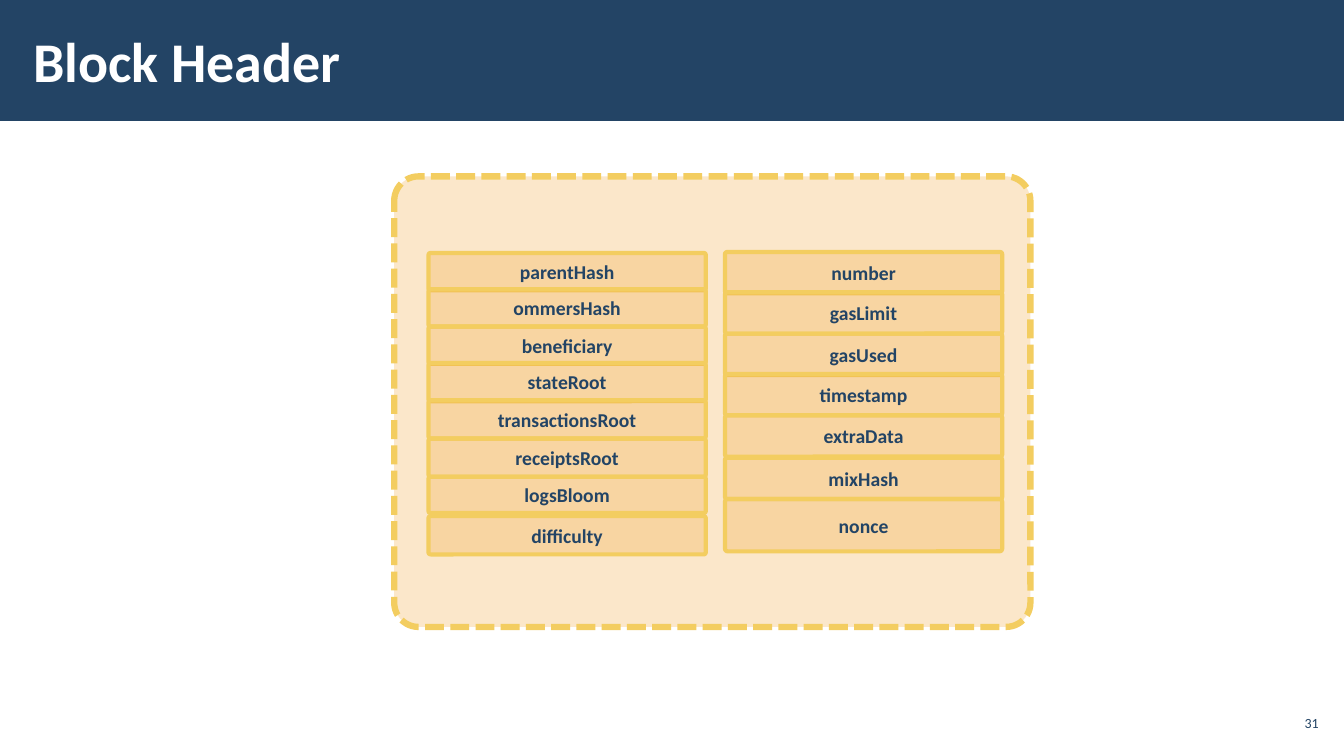
from lxml import etree
from pptx import Presentation
from pptx.dml.color import RGBColor
from pptx.enum.dml import MSO_LINE
from pptx.enum.shapes import MSO_SHAPE
from pptx.enum.text import MSO_ANCHOR, PP_ALIGN
from pptx.oxml.ns import qn
from pptx.util import Inches, Pt

RECTANGLE = MSO_SHAPE.RECTANGLE
ROUNDED = MSO_SHAPE.ROUNDED_RECTANGLE
MIDDLE = MSO_ANCHOR.MIDDLE
LEFT, CENTER, RIGHT = PP_ALIGN.LEFT, PP_ALIGN.CENTER, PP_ALIGN.RIGHT
SHORT_DASH = MSO_LINE.SQUARE_DOT

COLORS = {"navy": "234465", "white": "FFFFFF", "orange": "F0A22E", "gold": "F3CD60"}
FONT = "Calibri"
FIELD_WIDTH = 2.75

HASH_FIELDS = [
    ("parentHash", 2.51, 0.37),
    ("ommersHash", 2.87, 0.37),
    ("beneficiary", 3.24, 0.37),
    ("stateRoot", 3.6, 0.38),
    ("transactionsRoot", 3.97, 0.38),
    ("receiptsRoot", 4.35, 0.38),
    ("logsBloom", 4.73, 0.36),
    ("difficulty", 5.12, 0.38),
]
BLOCK_FIELDS = [
    ("number", 2.5, 0.41),
    ("gasLimit", 2.9, 0.41),
    ("gasUsed", 3.31, 0.41),
    ("timestamp", 3.71, 0.41),
    ("extraData", 4.12, 0.41),
    ("mixHash", 4.54, 0.41),
    ("nonce", 4.95, 0.52),
]


class SlideBuilder:
    def __init__(self, slide):
        self.shapes = slide.shapes

    def color(self, name):
        return RGBColor.from_string(COLORS[name])

    def set_text(self, shape, text, size, color, align, bold):
        frame = shape.text_frame
        frame.word_wrap = True
        frame.vertical_anchor = MIDDLE
        paragraph = frame.paragraphs[0]
        paragraph.text = text
        paragraph.alignment = align
        font = paragraph.font
        font.name, font.size, font.bold = FONT, Pt(size), bold
        font.color.rgb = self.color(color)
        return frame

    def label(self, text, box, size, color, align=LEFT, bold=False, side_inset=0.04):
        shape = self.shapes.add_textbox(*map(Inches, box))
        frame = self.set_text(shape, text, size, color, align, bold)
        frame.margin_left = frame.margin_right = Inches(side_inset)
        frame.margin_top = frame.margin_bottom = Inches(0.04)

    def banner(self, box):
        shape = self.shapes.add_shape(RECTANGLE, *map(Inches, box))
        shape.shadow.inherit = False
        shape.fill.solid()
        shape.fill.fore_color.rgb = self.color("navy")
        shape.line.fill.background()

    def panel(self, box, line_width, corner):
        shape = self.shapes.add_shape(ROUNDED, *map(Inches, box))
        shape.adjustments[0] = corner
        shape.shadow.inherit = False
        shape.fill.solid()
        shape.fill.fore_color.rgb = self.color("orange")
        tint = shape.element.spPr.find(qn("a:solidFill"))[0]
        etree.SubElement(tint, qn("a:alpha")).set("val", "25000")
        shape.line.color.rgb = self.color("gold")
        shape.line.width = Pt(line_width)
        return shape

    def header_frame(self, box):
        self.panel(box, 4.5, 0.054).line.dash_style = SHORT_DASH

    def field_column(self, left, fields):
        for name, top, height in fields:
            field = self.panel((left, top, FIELD_WIDTH, height), 3, 0.053)
            self.set_text(field, name, 14, "navy", CENTER, True)


def main():
    deck = Presentation()
    deck.slide_width, deck.slide_height = Inches(13.33), Inches(7.5)
    builder = SlideBuilder(deck.slides.add_slide(deck.slide_layouts[6]))
    builder.banner((0, 0, 13.33, 1.2))
    builder.label("Block Header", (0.21, 0.11, 10.39, 0.97), 40, "white",
                  bold=True, side_inset=0.12)
    builder.label("31", (12.65, 7, 0.47, 0.34), 10, "navy", align=RIGHT)
    builder.header_frame((3.91, 1.75, 6.31, 4.47))
    builder.field_column(4.25, HASH_FIELDS)
    builder.field_column(7.19, BLOCK_FIELDS)
    deck.save("out.pptx")


if __name__ == "__main__":
    main()
